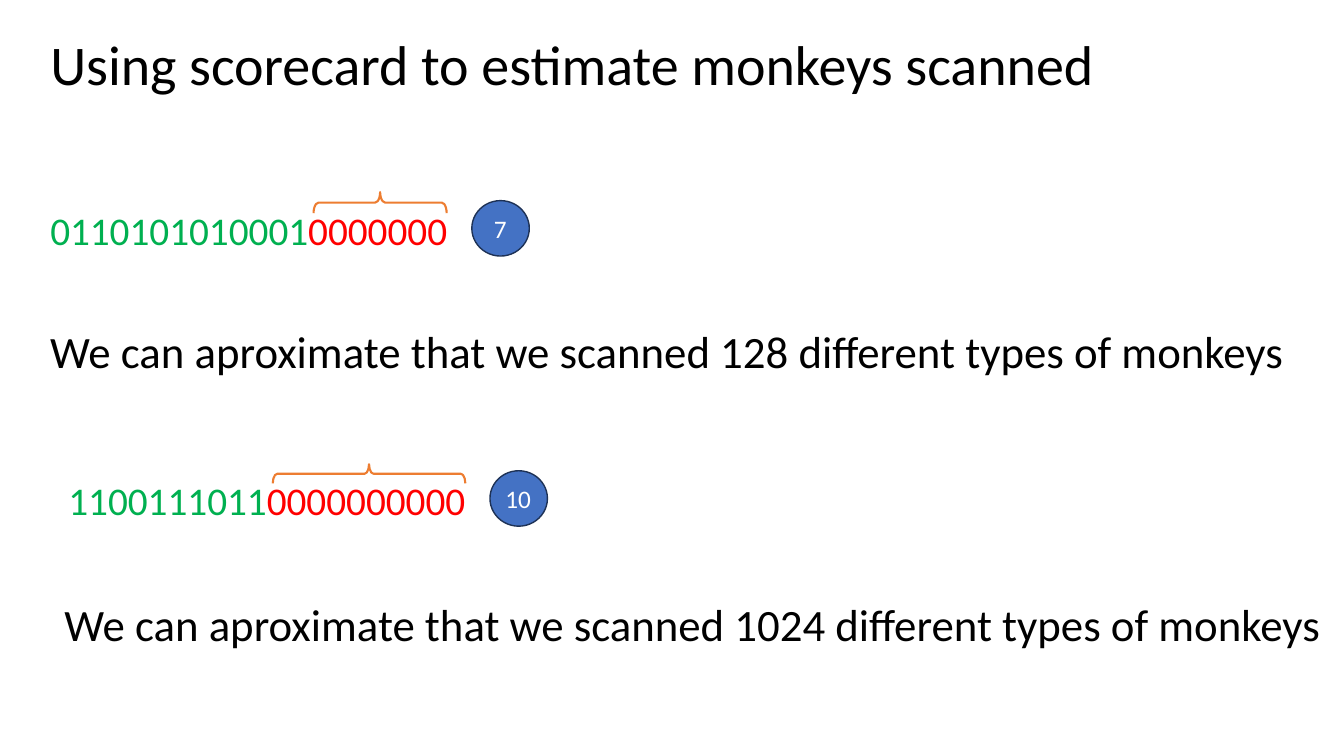
from dataclasses import dataclass

from pptx import Presentation
from pptx.dml.color import RGBColor
from pptx.enum.shapes import MSO_SHAPE
from pptx.enum.text import MSO_AUTO_SIZE
from pptx.util import Inches, Pt


@dataclass(frozen=True)
class Theme:
    font: str = "Calibri"
    ink: str = "000000"
    paper: str = "FFFFFF"
    prefix: str = "00B050"
    zeros: str = "FF0000"
    brace: str = "ED7D31"
    badge: str = "4472C4"
    badge_edge: str = "1E3256"
    title_size: int = 40
    statement_size: int = 32
    bits_size: int = 28
    count_size: int = 18


def color(code):
    return RGBColor.from_string(code)


def write_text(box, spans, *, theme, size, wrap=True):
    """Fill a box with one paragraph of (text, color) spans."""
    frame = box.text_frame
    frame.word_wrap = wrap
    frame.auto_size = MSO_AUTO_SIZE.SHAPE_TO_FIT_TEXT
    para = frame.paragraphs[0]
    for text, code in spans:
        span = para.add_run()
        span.text = text
        span.font.name = theme.font
        span.font.size = Pt(size)
        span.font.color.rgb = color(code)


class SlideBuilder:
    def __init__(self, page, theme):
        self.page = page
        self.theme = theme

    def text(self, left, top, width, height, spans, **style):
        box = self.page.shapes.add_textbox(
            Inches(left), Inches(top), Inches(width), Inches(height))
        write_text(box, spans, theme=self.theme, **style)

    def shape(self, kind, left, top, width, height, edge, weight):
        shape = self.page.shapes.add_shape(
            kind, Inches(left), Inches(top), Inches(width), Inches(height))
        shape.shadow.inherit = False
        shape.line.color.rgb = color(edge)
        shape.line.width = Pt(weight)
        return shape

    def brace(self, center_x, center_y, depth, span):
        """Left brace turned to lie above the trailing zeros."""
        brace = self.shape(MSO_SHAPE.LEFT_BRACE, center_x - depth / 2,
                           center_y - span / 2, depth, span, self.theme.brace, 1.5)
        brace.fill.background()
        brace.rotation = 90
        brace.adjustments[0] = 0.235
        brace.adjustments[1] = 0.5

    def badge(self, left, top, count, label_width):
        """Circle with the number of trailing zeros centred on it."""
        width, height, label_height = 0.57, 0.55, 0.4
        circle = self.shape(MSO_SHAPE.OVAL, left, top, width, height,
                            self.theme.badge_edge, 1)
        circle.fill.solid()
        circle.fill.fore_color.rgb = color(self.theme.badge)
        self.text(left + (width - label_width) / 2,
                  top + (height - label_height) / 2, label_width, label_height,
                  [(str(count), self.theme.paper)],
                  size=self.theme.count_size, wrap=False)

    def scorecard(self, left, top, prefix, zero_count, brace, label_width):
        self.text(left, top, 4.21, 0.57,
                  [(prefix, self.theme.prefix), ("0" * zero_count, self.theme.zeros)],
                  size=self.theme.bits_size)
        self.brace(*brace)
        self.badge(left + 4.28, top - 0.01, zero_count, label_width)

    def estimate(self, left, top, width, zero_count):
        sentence = (f"We can aproximate that we scanned {2 ** zero_count} "
                    "different types of monkeys")
        self.text(left, top, width, 0.64, [(sentence, self.theme.ink)],
                  size=self.theme.statement_size, wrap=False)


def main():
    deck = Presentation()
    deck.slide_width = Inches(13.33)
    deck.slide_height = Inches(7.5)
    page = deck.slides.add_slide(deck.slide_layouts[6])
    theme = Theme()
    builder = SlideBuilder(page, theme)

    # Title
    builder.text(0.4, 0.24, 11.78, 0.77,
                 [("Using scorecard to estimate monkeys scanned", theme.ink)],
                 size=theme.title_size)

    # First scorecard: 7 trailing zeros
    builder.scorecard(0.4, 2, "0110101010001", 7, (3.77, 2.01, 0.21, 1.32), 0.33)
    builder.estimate(0.4, 3.16, 12.57, 7)

    # Second scorecard: 10 trailing zeros
    builder.scorecard(0.58, 4.68, "1100111011", 10, (3.66, 4.7, 0.19, 1.91), 0.46)
    builder.estimate(0.54, 5.87, 12.79, 10)

    deck.save("out.pptx")


if __name__ == "__main__":
    main()
